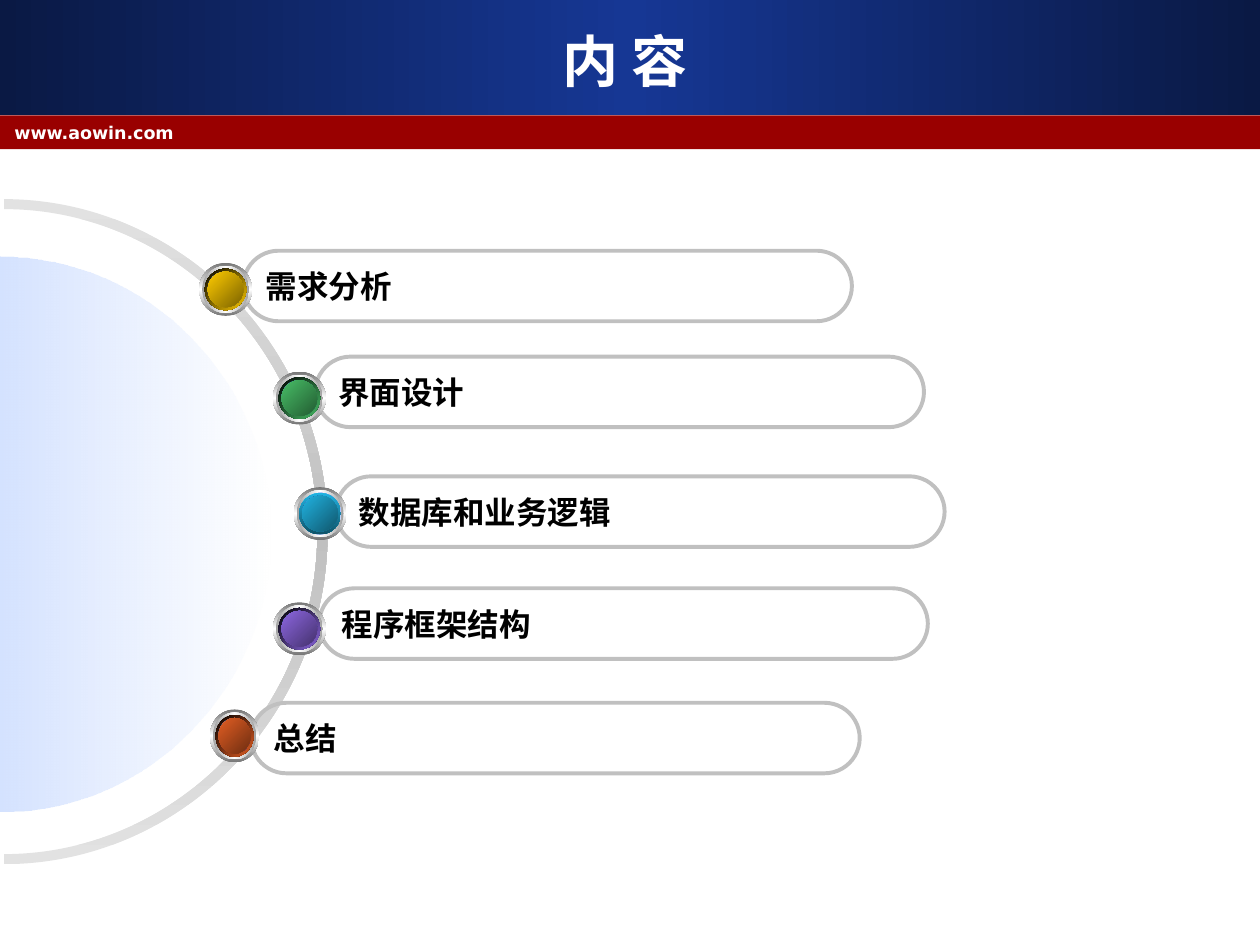
import pptx
import pptx.dml.color
import pptx.enum.shapes
import pptx.enum.text
import pptx.oxml
import pptx.oxml.ns
import pptx.util

Pt = pptx.util.Pt
SHAPES = pptx.enum.shapes.MSO_SHAPE
ALIGN = pptx.enum.text.PP_ALIGN
MIDDLE = pptx.enum.text.MSO_ANCHOR.MIDDLE
TOP = pptx.enum.text.MSO_ANCHOR.TOP
NAMESPACE = pptx.oxml.ns.nsdecls("a")

# Content
TITLE = "内 容"
ADDRESS = "www.aowin.com"
# text, bar left and top, ball left, top and width, bright, rim and dark colours, rim angle
TOPICS = [
    ("需求分析", 139, 143.3, 113.8, 150.3, 30.2, "FFCC00", "FFCC00", "7C6300", 45),
    ("界面设计", 180.2, 203.8, 156, 212.4, 30.2, "48BE67", "48BE67", "235C32", 45),
    ("数据库和业务逻辑", 192, 272.2, 167.8, 278.4, 30.2, "21B3E1", "0F5368", "10576D", 90),
    ("程序框架结构", 182.4, 336.2, 156, 344.2, 30.2, "8D67E1", "8D67E1", "45326D", 45),
    ("总结", 143.5, 401.6, 120, 405.4, 28.1, "E35E23", "E35E23", "6E2E11", 45),
]
BAR_WIDTH, BAR_HEIGHT, BALL_HEIGHT = 347.8, 40.3, 30.2
CURVE = 0.55  # handle length of a quarter ellipse, relative to its radius
UNITS = 100  # outline units in a point

presentation = pptx.Presentation()
presentation.slide_width, presentation.slide_height = Pt(720), Pt(540)
slide = presentation.slides.add_slide(presentation.slide_layouts[5])


def colour(value):
    return pptx.dml.color.RGBColor.from_string(value)


def paint(shape, stops, angle=0):
    """Fill with a hex colour, or with (position, colour, opacity) gradient stops."""
    shape.shadow.inherit = False
    shape.line.fill.background()
    if isinstance(stops, str):
        shape.fill.solid()
        shape.fill.fore_color.rgb = colour(stops)
        return
    shape.fill.gradient()
    old = shape._element.xpath("./p:spPr/a:gradFill")[0]
    marks = "".join(
        f'<a:gs pos="{position * 1000}"><a:srgbClr val="{value}">'
        f'<a:alpha val="{opacity * 1000}"/></a:srgbClr></a:gs>'
        for position, value, opacity in stops)
    new = pptx.oxml.parse_xml(
        f'<a:gradFill {NAMESPACE} rotWithShape="1"><a:gsLst>{marks}</a:gsLst>'
        f'<a:lin ang="{angle * 60000}" scaled="0"/></a:gradFill>')
    old.getparent().replace(old, new)


def blend(*values):
    """Space colours evenly along a gradient."""
    return [(100 * i // (len(values) - 1), value, 100) for i, value in enumerate(values)]


def add_shape(parent, kind, left, top, width, height):
    return parent.add_shape(kind, Pt(left), Pt(top), Pt(width), Pt(height))


def write(shape, text, size, font, value, align, anchor, wrap=True):
    frame = shape.text_frame
    frame.text = text
    margins = {"margin_left": Pt(7.2), "margin_right": Pt(7.2),
               "margin_top": Pt(3.6), "margin_bottom": Pt(3.6)}
    for name, setting in {**margins, "word_wrap": wrap, "vertical_anchor": anchor}.items():
        setattr(frame, name, setting)
    paragraph = frame.paragraphs[0]
    paragraph.alignment = align
    for name, setting in {"size": Pt(size), "name": font, "bold": True}.items():
        setattr(paragraph.font, name, setting)
    paragraph.font.color.rgb = colour(value)


def half_ellipse(radius_x, radius_y):
    """Start, handles and ends of a right half ellipse about (0, 0), from top to bottom."""
    handle_x, handle_y = CURVE * radius_x, CURVE * radius_y
    return [(0, -radius_y), (handle_x, -radius_y), (radius_x, -handle_y), (radius_x, 0),
            (radius_x, handle_y), (handle_x, radius_y), (0, radius_y)]


def add_half_round(centre_x, centre_y, *radii):
    """Draw a half disc, or a half ring when a second pair of radii is given.

    The box holds the whole ellipse and runs past the slide's left edge.
    """
    radius_x, radius_y = radii[0]
    left, right = (centre_x - radius_x) * UNITS, (centre_x + radius_x) * UNITS
    top, bottom = (centre_y - radius_y) * UNITS, (centre_y + radius_y) * UNITS
    builder = slide.shapes.build_freeform(left, top, scale=float(Pt(1)) / UNITS)
    builder.add_line_segments([(right, top), (right, bottom), (left, bottom)])
    shape = builder.convert_to_shape()
    outline = shape._element.xpath(".//a:path")[0]

    def step(tag, points):
        marks = "".join(f'<a:pt x="{round((x + radius_x) * UNITS)}" '
                        f'y="{round((y + radius_y) * UNITS)}"/>' for x, y in points)
        outline.append(pptx.oxml.parse_xml(f"<a:{tag} {NAMESPACE}>{marks}</a:{tag}>"))

    for child in list(outline):
        outline.remove(child)
    for index, pair in enumerate(radii):
        points = half_ellipse(*pair)[::-1 if index else 1]
        step("lnTo" if index else "moveTo", points[:1])
        step("cubicBezTo", points[1:4])
        step("cubicBezTo", points[4:])
    step("close", [])
    return shape


# Header bands, address and title
header = add_shape(slide.shapes, SHAPES.RECTANGLE, 0, 0, 720, 65.5)
paint(header, blend("0A1944", "163794", "0A1944"))
band = add_shape(slide.shapes, SHAPES.RECTANGLE, 0, 66, 720, 19.2)
paint(band, "990000")
address = slide.shapes.add_textbox(Pt(1.2), Pt(66.2), Pt(666), Pt(18))
write(address, ADDRESS, 10, "DejaVu Sans", "FFFFFF", ALIGN.LEFT, TOP)
title = slide.shapes.title
for name, length in {"left": 24.2, "top": 12.2, "width": 666, "height": 44.6}.items():
    setattr(title, name, Pt(length))
write(title, TITLE, 32, "DejaVu Sans", "FFFFFF", ALIGN.CENTER, MIDDLE)
slide.shapes._spTree.append(title._element)  # in front of the bands

# Half ring and half disc at the left edge
ring = add_half_round(2.2, 303.8, (185, 190), (179.2, 184.3))
paint(ring, blend("E2E2E2", "C0C0C0", "E2E2E2"), 90)
disc = add_half_round(0, 305.1, (154.8, 158.5))
paint(disc, [(0, "6699FF", 56), (100, "FFFFFF", 48)])

# Topic bars, from the bottom up
for text, left, top, *_ in reversed(TOPICS):
    bar = add_shape(slide.shapes, SHAPES.ROUNDED_RECTANGLE, left, top, BAR_WIDTH, BAR_HEIGHT)
    bar.adjustments[0] = 0.5
    bar.shadow.inherit = False
    bar.fill.background()
    bar.line.color.rgb = colour("C0C0C0")
    bar.line.width = Pt(2.25)
    write(bar, text, 18, "Arial", "000000", ALIGN.LEFT, MIDDLE, wrap=False)

# Balls: nested ellipses, each layer set in from the outermost one
for *_, left, top, width, bright, rim, dark, rim_angle in TOPICS:
    layers = [
        (0, ("767676", "FFFFFF", "767676"), 90),
        (1.7, ("A2A2A2", "FFFFFF", "A2A2A2"), 0),
        (3.2, ("FFFFFF", "6699FF", "FFFFFF"), 45),
        (3.2, (bright if rim != bright else "000000", rim), rim_angle),
        (4.9, ("37538A", "6699FF", "37538A"), 315),
        (4.9, (bright, dark), 45),
    ]
    ball = slide.shapes.add_group_shape()
    for inset, values, angle in layers:
        layer = add_shape(ball.shapes, SHAPES.OVAL, left + inset, top + inset,
                          width - 2 * inset, BALL_HEIGHT - 2 * inset)
        paint(layer, blend(*values), angle)

presentation.save("out.pptx")
